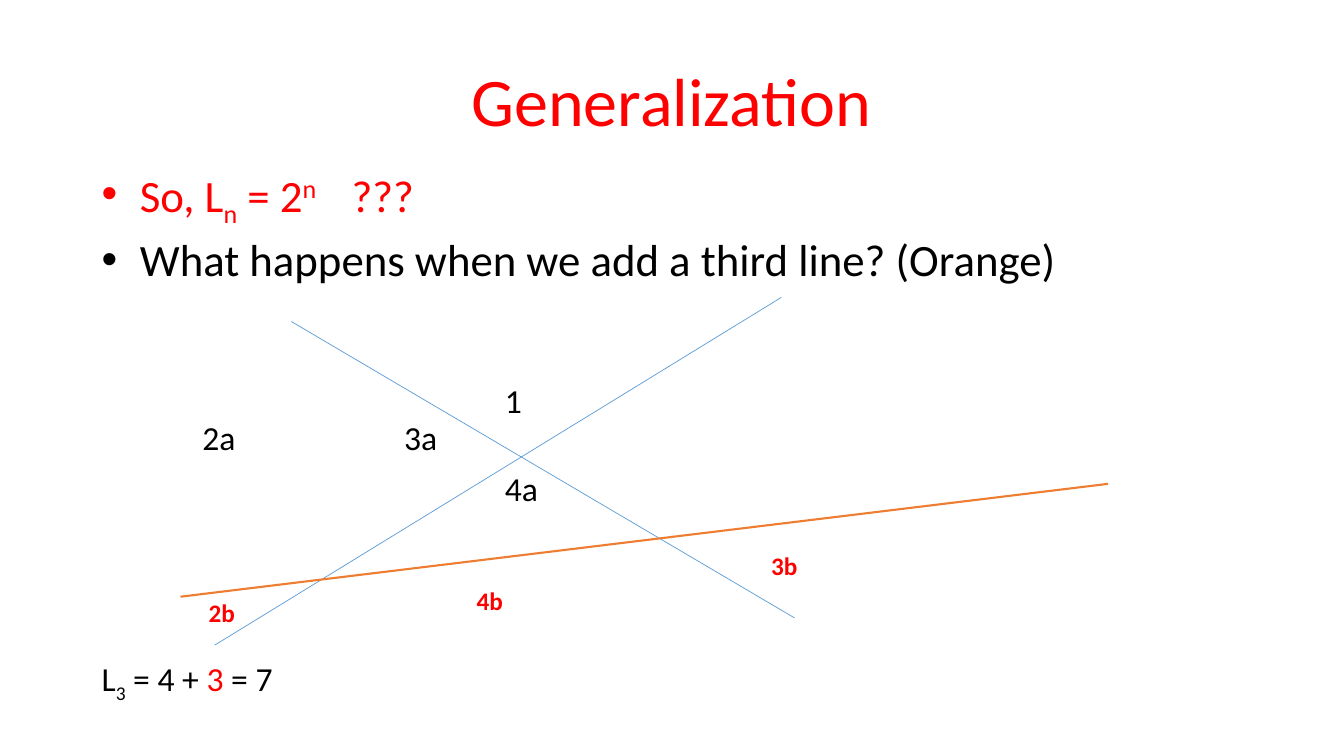
import pptx
import pptx.dml.color
import pptx.enum.shapes
import pptx.enum.text
import pptx.util
from lxml import etree
from pptx.oxml.ns import qn
from pptx.util import Inches

RED = pptx.dml.color.RGBColor(0xFF, 0x00, 0x00)
BLACK = pptx.dml.color.RGBColor(0x00, 0x00, 0x00)
BLUE = pptx.dml.color.RGBColor(0x5B, 0x9B, 0xD5)
ORANGE = pptx.dml.color.RGBColor(0xED, 0x7D, 0x31)
FONT = "Calibri"
SUBSCRIPT, SUPERSCRIPT = -25000, 30000


def add_span(para, text, size=24, color=BLACK, bold=False, baseline=0):
    span = para.add_run()
    span.text = text
    span.font.name = FONT
    span.font.size = pptx.util.Pt(size)
    span.font.color.rgb = color
    span.font.bold = bold
    if baseline:
        span.font._element.set("baseline", str(baseline))


def add_box(page, left, top, width, height):
    box = page.shapes.add_textbox(Inches(left), Inches(top), Inches(width), Inches(height))
    box.text_frame.word_wrap = True
    return box.text_frame


def add_bullet(para, tab):
    props = para._p.get_or_add_pPr()
    props.set("marL", str(Inches(0.38)))
    props.set("indent", str(-Inches(0.38)))
    etree.SubElement(props, qn("a:buFont"), typeface="Arial")
    etree.SubElement(props, qn("a:buChar"), char="•")
    tabs = etree.SubElement(props, qn("a:tabLst"))
    etree.SubElement(tabs, qn("a:tab"), pos=str(Inches(tab)), algn="l")


def add_line(page, start, end, color, width):
    line = page.shapes.add_connector(
        pptx.enum.shapes.MSO_CONNECTOR.STRAIGHT, *map(Inches, start + end))
    line.line.color.rgb = color
    line.line.width = pptx.util.Pt(width)
    etree.SubElement(line._element.spPr, qn("a:effectLst"))


def add_title(page, left, top, width, height):
    frame = add_box(page, left, top, width, height)
    frame.vertical_anchor = pptx.enum.text.MSO_ANCHOR.BOTTOM
    para = frame.paragraphs[0]
    para.alignment = pptx.enum.text.PP_ALIGN.CENTER
    para.line_spacing = 0.9
    add_span(para, "Generalization", size=48.6, color=RED)


def add_questions(page, left, top, width, height):
    frame = add_box(page, left, top, width, height)
    guess, question = frame.paragraphs[0], frame.add_paragraph()
    for para in (guess, question):
        add_bullet(para, tab=2.48)
        para.line_spacing = 0.9
    question.space_before = pptx.util.Pt(10)
    for text, baseline in (("So, L", 0), ("n", SUBSCRIPT), (" = 2", 0),
                           ("n", SUPERSCRIPT), ("\t???", 0)):
        add_span(guess, text, size=32, color=RED, baseline=baseline)
    add_span(question, "What happens when we add a third line? (Orange)", size=32)


def add_diagram(page, left, top):
    # Two first lines and the third one across them
    for start, end, color, width in (
            ((0.34, 3.45), (5.96, 0), BLUE, 0.5),
            ((1.1, 0.24), (6.09, 3.18), BLUE, 0.5),
            ((0, 2.97), (9.2, 1.85), ORANGE, 1.5)):
        add_line(page, (left + start[0], top + start[1]),
                 (left + end[0], top + end[1]), color, width)

    # Region labels: black for old regions, red for new ones
    for text, x, y, size, color in (
            ("1", 3.12, 0.77, 24, BLACK), ("2a", 0.12, 1.14, 24, BLACK),
            ("3a", 2.12, 1.14, 24, BLACK), ("4a", 3.12, 1.64, 24, BLACK),
            ("2b", 0.18, 2.93, 18, RED), ("4b", 2.84, 2.81, 18, RED),
            ("3b", 5.76, 2.46, 18, RED)):
        frame = add_box(page, left + x, top + y, 0.65, 0.4)
        add_span(frame.paragraphs[0], text, size=size, color=color, bold=color == RED)


def add_result(page, left, top, width, height):
    para = add_box(page, left, top, width, height).paragraphs[0]
    add_span(para, "L")
    add_span(para, "3", baseline=SUBSCRIPT)
    add_span(para, " = 4 + ")
    add_span(para, "3", color=RED)
    add_span(para, " = 7")


def main():
    deck = pptx.Presentation()
    deck.slide_width, deck.slide_height = Inches(13.33), Inches(7.5)
    page = deck.slides.add_slide(deck.slide_layouts[6])
    add_title(page, 0.91, 0.6, 11.5, 0.85)
    add_questions(page, 0.91, 1.62, 11.5, 1.25)
    add_diagram(page, 1.79, 2.95)
    add_result(page, 0.91, 6.48, 3, 0.5)
    deck.save("out.pptx")


if __name__ == "__main__":
    main()
